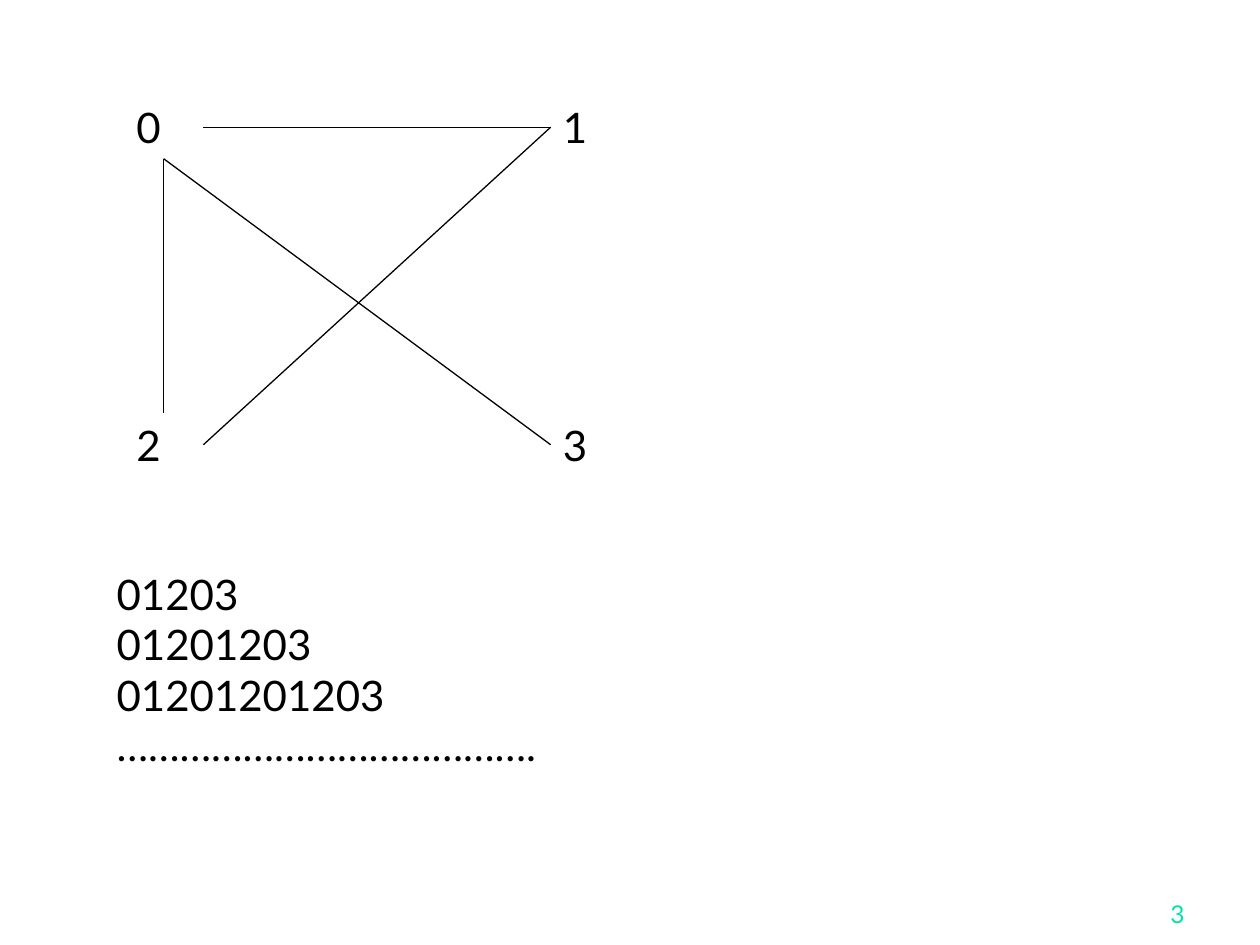
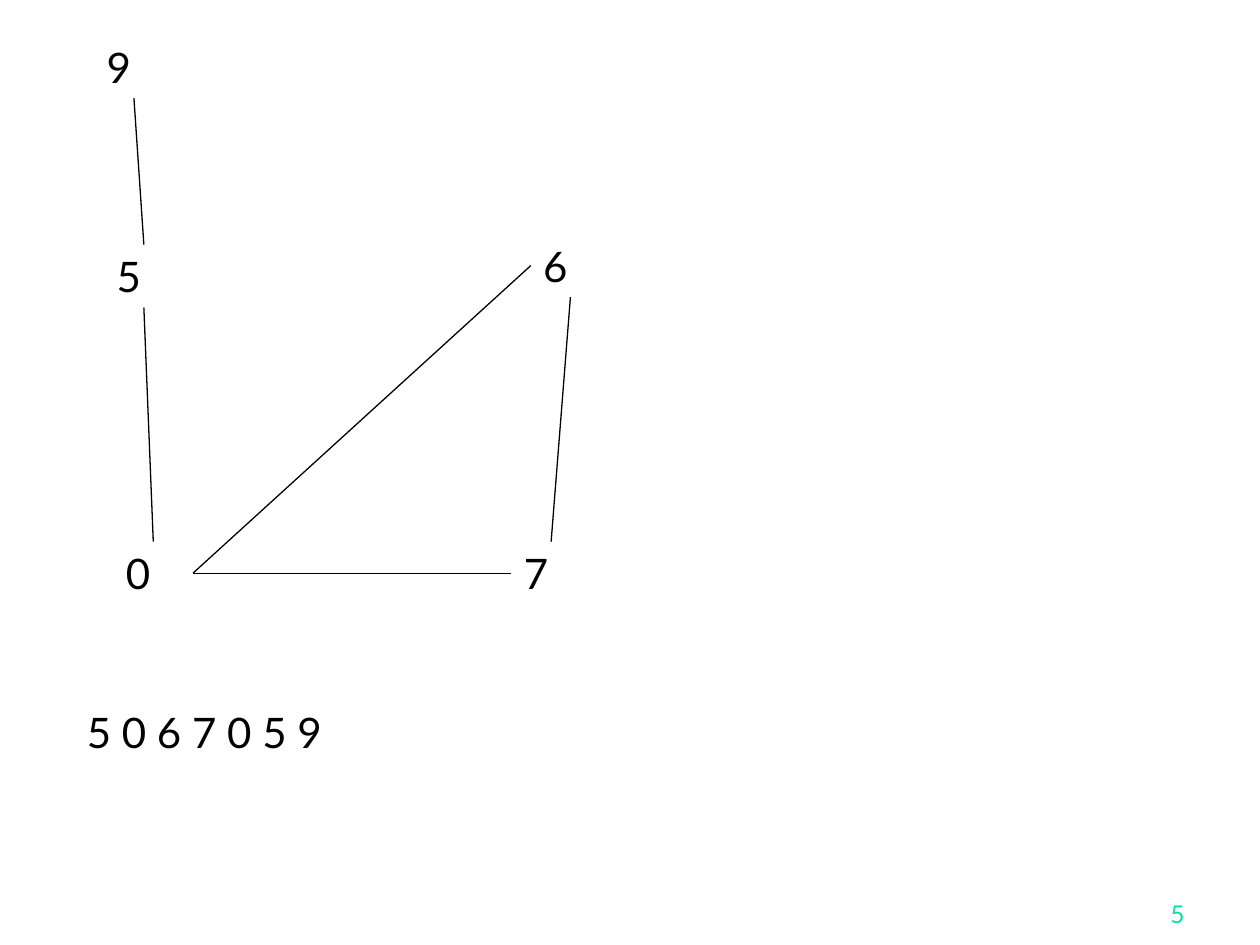
from dataclasses import dataclass

from lxml import etree
from pptx import Presentation, util as u
from pptx.dml.color import RGBColor
from pptx.enum import shapes, text
from pptx.oxml.ns import qn
from pptx.shapes.autoshape import Shape
from pptx.slide import Slide

FONT = "Lato"
INK = "000000"
ACCENT = "00E4A8"
NODE_WIDTH, LINE_HEIGHT = 1.6, 1.27

# Connection sites of a rectangle
TOP, LEFT, BOTTOM, RIGHT = range(4)


@dataclass(frozen=True)
class Node:
    label: str
    left: float
    top: float


@dataclass(frozen=True)
class Edge:
    start: str
    start_side: int
    end: str
    end_side: int


@dataclass(frozen=True)
class Walks:
    left: float
    top: float
    width: float
    height: float
    lines: tuple[str, ...]


@dataclass(frozen=True)
class GraphPage:
    number: int
    nodes: tuple[Node, ...]
    edges: tuple[Edge, ...]
    walks: Walks


PAGES = (
    GraphPage(
        3,
        tuple(
            Node(str(2 * row + column), left, top)
            for row, top in enumerate((1.93, 8.33))
            for column, left in enumerate((2.5, 11.1))
        ),
        (
            Edge("0", RIGHT, "1", LEFT),
            Edge("2", RIGHT, "1", LEFT),
            Edge("0", BOTTOM, "2", TOP),
            Edge("0", BOTTOM, "3", LEFT),
        ),
        Walks(2.1, 11.33, 21, 4.32,
              ("01203", "01201203", "01201201203", "………………………………….")),
    ),
    GraphPage(
        5,
        (
            Node("5", 2.1, 4.93),
            Node("0", 2.29, 10.92),
            Node("9", 1.9, 0.71),
            Node("6", 10.7, 4.72),
            Node("7", 10.31, 10.92),
        ),
        (
            Edge("5", BOTTOM, "0", TOP),
            Edge("0", RIGHT, "6", LEFT),
            Edge("6", BOTTOM, "7", TOP),
            Edge("7", LEFT, "0", RIGHT),
            Edge("9", BOTTOM, "5", TOP),
        ),
        Walks(1.5, 14.12, 20.4, LINE_HEIGHT, ("5 0 6 7 0 5 9",)),
    ),
)


def rgb(colour: str) -> RGBColor:
    return RGBColor.from_string(colour)


def add_text(page: Slide, left: float, top: float, width: float, height: float,
             lines: tuple[str, ...], size: int = 24, colour: str = INK) -> Shape:
    box = page.shapes.add_textbox(u.Cm(left), u.Cm(top), u.Cm(width), u.Cm(height))
    frame = box.text_frame
    frame.word_wrap = True
    for index, line in enumerate(lines):
        para = frame.add_paragraph() if index else frame.paragraphs[0]
        span = para.add_run()
        span.text = line
        span.font.name = FONT
        span.font.size = u.Pt(size)
        span.font.color.rgb = rgb(colour)
    return box


def add_edge(page: Slide, edge: Edge, boxes: dict[str, Shape]) -> None:
    line = page.shapes.add_connector(shapes.MSO_CONNECTOR.STRAIGHT, 0, 0, 0, 0)
    line.begin_connect(boxes[edge.start], edge.start_side)
    line.end_connect(boxes[edge.end], edge.end_side)
    line.line.color.rgb = rgb(INK)
    line.line.width = u.Pt(0.75)
    etree.SubElement(line._element.spPr, qn("a:effectLst"))


def add_page_number(page: Slide, number: int) -> None:
    box = add_text(page, 18.85, 17.58, 5.28, LINE_HEIGHT, (str(number),), 14, ACCENT)
    box.text_frame.vertical_anchor = text.MSO_ANCHOR.BOTTOM
    box.text_frame.paragraphs[0].alignment = text.PP_ALIGN.RIGHT


def add_graph_page(deck: Presentation, content: GraphPage) -> None:
    page = deck.slides.add_slide(deck.slide_layouts[6])
    add_page_number(page, content.number)

    # Graph: numbered nodes joined side to side
    boxes = {
        node.label: add_text(page, node.left, node.top, NODE_WIDTH, LINE_HEIGHT, (node.label,))
        for node in content.nodes
    }
    for edge in content.edges:
        add_edge(page, edge, boxes)

    # Walks through the graph
    walks = content.walks
    add_text(page, walks.left, walks.top, walks.width, walks.height, walks.lines)


def main() -> None:
    deck = Presentation()
    deck.slide_width, deck.slide_height = u.Cm(25.4), u.Cm(19.05)
    for content in PAGES:
        add_graph_page(deck, content)
    deck.save("out.pptx")


if __name__ == "__main__":
    main()
